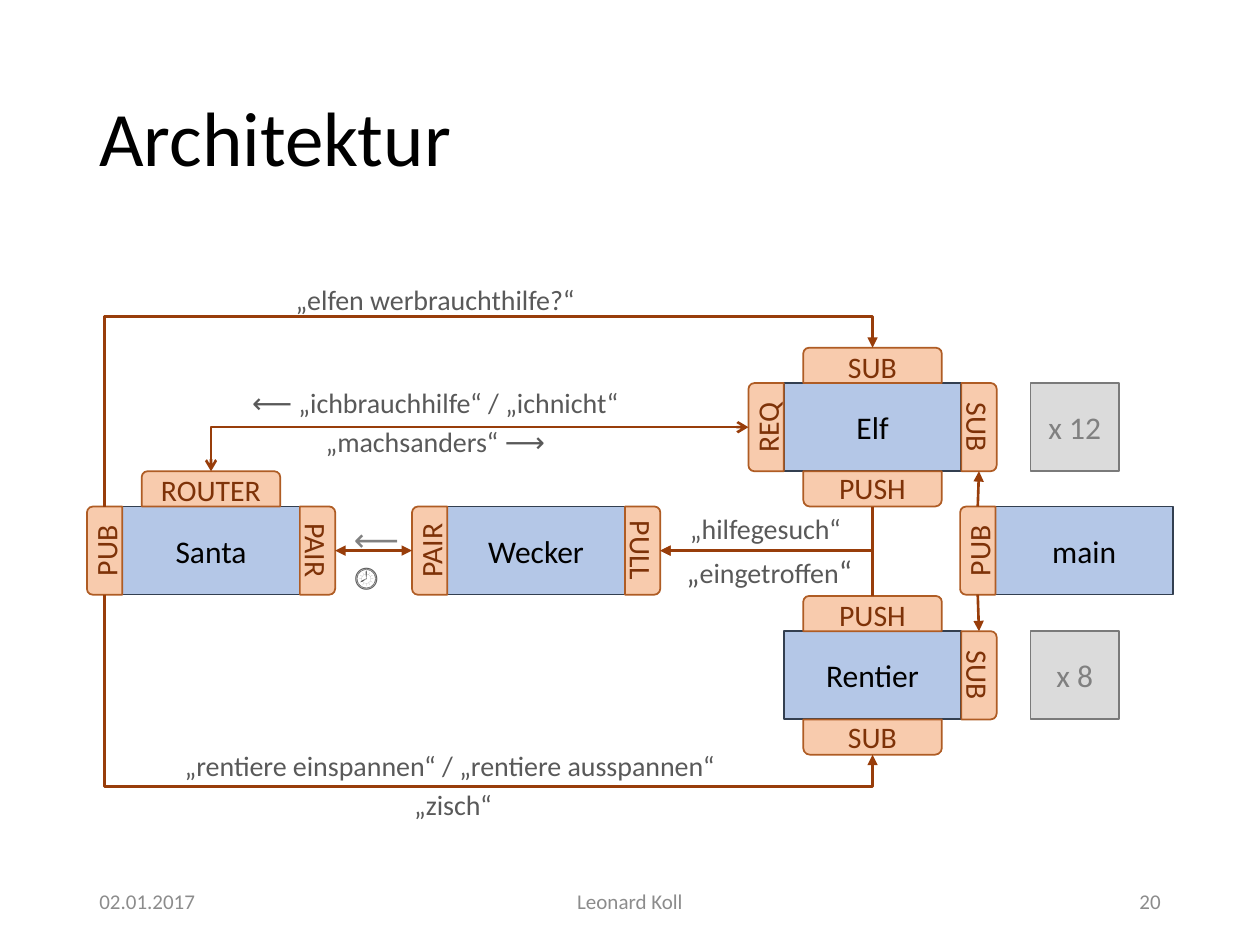
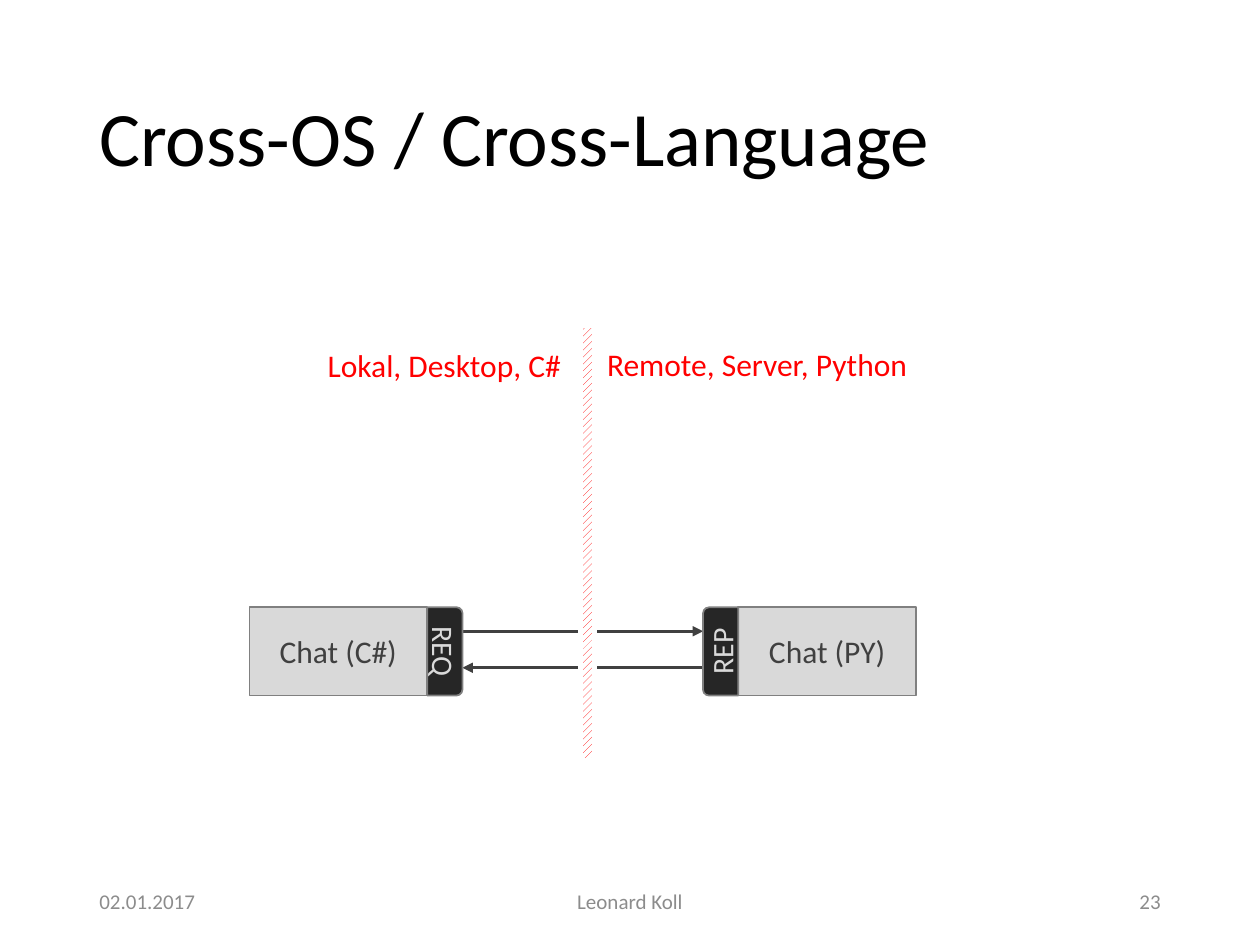
from lxml import etree
from pptx import Presentation
from pptx.dml.color import RGBColor
from pptx.enum.dml import MSO_PATTERN
from pptx.enum.shapes import MSO_CONNECTOR, MSO_SHAPE
from pptx.enum.text import MSO_ANCHOR, PP_ALIGN
from pptx.oxml.ns import qn
from pptx.util import Inches, Pt

LEFT, CENTER, RIGHT = PP_ALIGN.LEFT, PP_ALIGN.CENTER, PP_ALIGN.RIGHT
TOP, MIDDLE = MSO_ANCHOR.TOP, MSO_ANCHOR.MIDDLE
RECTANGLE, SOCKET = MSO_SHAPE.RECTANGLE, MSO_SHAPE.ROUND_2_SAME_RECTANGLE
STRAIGHT, ELBOW = MSO_CONNECTOR.STRAIGHT, MSO_CONNECTOR.ELBOW
DIAGONAL = MSO_PATTERN.WIDE_UPWARD_DIAGONAL

FONT = "Calibri"
COLORS = {
    "black": "000000", "white": "FFFFFF", "footer": "8C8C8C", "label": "595959",
    "node": "B4C7E7", "node line": "333F50",
    "count": "DBDBDB", "count line": "7A7A7A", "gray": "808080",
    "socket": "F8CBAD", "socket line": "AF5C24", "socket text": "7E3208",
    "wire": "983D0A", "chat": "D9D9D9", "chat dark": "262626",
    "chat text": "404040", "red": "FF0000",
}
# Styles: fill, line, text colour, text size
NODE_STYLE = ("node", "node line", "black", 18)
COUNT_STYLE = ("count", "count line", "gray", 18)
SOCKET_STYLE = ("socket", "socket line", "socket text", 17)
CHAT_STYLE = ("chat", "gray", "chat text", 18)
CHAT_SOCKET_STYLE = ("chat dark", "gray", "chat", 17)

# Sizes in inches
NODE_WIDTH, NODE_HEIGHT = 1.41, 0.7
SOCKET_DEPTH, SOCKET_WIDTH = 0.28, 1.1
DETOUR = 0.25  # how far a looping wire runs beyond its target

DATE, AUTHOR = "02.01.2017", "Leonard Koll"

# Architecture: name -> (left, top, sockets by side)
NODES = {
    "Santa": (0.97, 4.02, {"left": "PUB", "top": "ROUTER", "right": "PAIR"}),
    "Wecker": (3.55, 4.02, {"left": "PAIR", "right": "PULL"}),
    "Elf": (6.22, 3.04, {"left": "REQ", "top": "SUB", "right": "SUB", "bottom": "PUSH"}),
    "Rentier": (6.22, 5.01, {"top": "PUSH", "right": "SUB", "bottom": "SUB"}),
    "main": (7.9, 4.02, {"left": "PUB"}),
}
COUNTS = [("x 12", 8.18, 3.04), ("x 8", 8.18, 5.01)]

# Wires: (node, socket side, end of the socket), same for the target, arrowheads
STRAIGHT_WIRES = [
    (("Santa", "right", "tip"), ("Wecker", "left", "tip"), "triangle", "triangle"),
    (("main", "left", "upper"), ("Elf", "right", "lower"), None, "triangle"),
    (("main", "left", "lower"), ("Rentier", "right", "upper"), None, "triangle"),
]
CORNER_WIRES = [
    (("Elf", "bottom", "tip"), ("Wecker", "right", "tip"), None, "triangle"),
    (("Rentier", "top", "tip"), ("Wecker", "right", "tip"), None, "triangle"),
    (("Santa", "top", "tip"), ("Elf", "left", "tip"), "arrow", "arrow"),
]
LOOP_WIRES = [
    (("Santa", "left", "upper"), ("Elf", "top", "tip"), None, "triangle"),
    (("Santa", "left", "lower"), ("Rentier", "bottom", "tip"), None, "triangle"),
]

# Messages: place, space after, paragraphs of (text, size) runs
MESSAGES = [
    ((0.97, 5.89, 5.25, 0.68), 3,
     [[("„rentiere einspannen“ / „rentiere ausspannen“ ", 16)], [("„zisch“", 16)]]),
    ((1.67, 2.19, 3.57, 0.37), 6, [[("„elfen werbrauchthilfe?“", 16)]]),
    ((1.67, 3.01, 3.57, 0.68), 3,
     [[("⟵ „ichbrauchhilfe“ / „ichnicht“", 16)], [("„machsanders“ ⟶", 16)]]),
    ((5.27, 4.01, 1.61, 0.37), 6, [[("„hilfegesuch“", 16)]]),
    ((5.3, 4.33, 1.61, 0.4), 6, [[("„", 18), ("eingetroffen", 16), ("“", 18)]]),
]

# Chat across systems
CHAT_NODES = {
    "Chat (C#)": (1.98, 4.82, {"right": "REQ"}),
    "Chat (PY)": (5.86, 4.82, {"left": "REP"}),
}
REQUEST_Y, REPLY_Y = 5.01, 5.3
DIVIDER = (4.61, 2.58, 0.11, 3.46)
SIDE_LABELS = [
    ("Remote, Server, Python", (4.72, 2.69, 3.16, 0.4), LEFT),
    ("Lokal, Desktop, C#", (1.47, 2.7, 3.08, 0.4), RIGHT),
]


def rgb(name):
    return RGBColor.from_string(COLORS[name])


def inches(values):
    return [Inches(value) for value in values]


def add_run(paragraph, text, size, color):
    run = paragraph.add_run()
    run.text = text
    run.font.name = FONT
    run.font.size = Pt(size)
    run.font.color.rgb = rgb(color)


def add_text(slide, place, paragraphs, color, align=LEFT, anchor=TOP,
             space_after=0, line_spacing=None, wrap=True):
    """Paragraphs are lists of (text, size) runs."""
    frame = slide.shapes.add_textbox(*inches(place)).text_frame
    frame.word_wrap = wrap
    frame.vertical_anchor = anchor
    for index, runs in enumerate(paragraphs):
        paragraph = frame.add_paragraph() if index else frame.paragraphs[0]
        paragraph.alignment = align
        paragraph.space_after = Pt(space_after)
        paragraph.line_spacing = line_spacing
        for text, size in runs:
            add_run(paragraph, text, size, color)
    return frame


def add_box(slide, kind, place, text, style):
    fill, line, text_color, size = style
    shape = slide.shapes.add_shape(kind, *inches(place))
    shape.shadow.inherit = False
    shape.fill.solid()
    shape.fill.fore_color.rgb = rgb(fill)
    shape.line.color.rgb = rgb(line)
    shape.line.width = Pt(1)
    frame = shape.text_frame
    frame.word_wrap = True
    frame.vertical_anchor = MIDDLE
    frame.paragraphs[0].alignment = CENTER
    add_run(frame.paragraphs[0], text, size, text_color)
    return shape


def socket_center(node, side):
    left, top, _ = node
    offset_x = (NODE_WIDTH + SOCKET_DEPTH) / 2 * {"left": -1, "right": 1}.get(side, 0)
    offset_y = (NODE_HEIGHT + SOCKET_DEPTH) / 2 * {"top": -1, "bottom": 1}.get(side, 0)
    return left + NODE_WIDTH / 2 + offset_x, top + NODE_HEIGHT / 2 + offset_y


def socket_point(node, side, end):
    """Middle of a socket's outer edge, or of its upper or lower end."""
    x, y = socket_center(node, side)
    if end != "tip":
        return x, y + NODE_HEIGHT / 2 * (-1 if end == "upper" else 1)
    half = SOCKET_DEPTH / 2
    return {"left": (x - half, y), "right": (x + half, y),
            "top": (x, y - half), "bottom": (x, y + half)}[side]


def add_nodes(slide, nodes, node_style, socket_style):
    for name, (left, top, _) in nodes.items():
        add_box(slide, RECTANGLE, (left, top, NODE_WIDTH, NODE_HEIGHT), name, node_style)
    for node in nodes.values():
        for side, text in node[2].items():
            x, y = socket_center(node, side)
            width = NODE_HEIGHT if side in ("left", "right") else SOCKET_WIDTH
            place = (x - width / 2, y - SOCKET_DEPTH / 2, width, SOCKET_DEPTH)
            socket = add_box(slide, SOCKET, place, text, socket_style)
            socket.rotation = {"left": 270, "right": 90}.get(side, 0)
            if side == "bottom":
                socket.adjustments[0], socket.adjustments[1] = 0, 0.19


def add_wire(slide, kind, start, end, head, tail, color="wire", width=1.5):
    wire = slide.shapes.add_connector(kind, *inches(start + end))
    wire.line.color.rgb = rgb(color)
    wire.line.width = Pt(width)
    properties = wire._element.spPr
    for tag, arrow in (("a:headEnd", head), ("a:tailEnd", tail)):
        if arrow:
            etree.SubElement(properties.find(qn("a:ln")), qn(tag), type=arrow)
    etree.SubElement(properties, qn("a:effectLst"))
    return wire


def add_bent_wire(slide, start, end, head, tail, loop):
    """Elbow that leaves vertically: a quarter-turned connector box."""
    run_x, run_y = end[0] - start[0], end[1] - start[1]
    center_x, center_y = (start[0] + end[0]) / 2, (start[1] + end[1]) / 2
    half_width, half_height = abs(run_y) / 2, abs(run_x) / 2
    wire = add_wire(slide, ELBOW, (center_x - half_width, center_y - half_height),
                    (center_x + half_width, center_y + half_height), head, tail)
    properties = wire._element.spPr
    transform = properties.find(qn("a:xfrm"))
    transform.set("rot", str((90 if run_y > 0 else 270) * 60000))
    if (run_x > 0) == (run_y > 0):
        transform.set("flipV", "1")
    geometry = properties.find(qn("a:prstGeom"))
    if loop:
        reach = round((1 + DETOUR / abs(run_y)) * 100000)
        etree.SubElement(geometry.find(qn("a:avLst")), qn("a:gd"),
                         name="adj1", fmla=f"val {reach}")
    else:
        geometry.set("prst", "bentConnector2")


def add_base_slide(presentation, title, number):
    slide = presentation.slides.add_slide(presentation.slide_layouts[6])
    add_text(slide, (0.69, 0.4, 7.07, 1.45), [[(title, 44)]], "black",
             anchor=MIDDLE, line_spacing=0.9)
    for text, left, width, align in ((DATE, 0.69, 2.25, LEFT),
                                     (AUTHOR, 3.31, 3.38, CENTER),
                                     (number, 7.06, 2.25, RIGHT)):
        add_text(slide, (left, 6.95, width, 0.4), [[(text, 12)]], "footer", align, MIDDLE)
    return slide


def build_architecture(presentation):
    slide = add_base_slide(presentation, "Architektur", "20")
    add_nodes(slide, NODES, NODE_STYLE, SOCKET_STYLE)
    for text, left, top in COUNTS:
        add_box(slide, RECTANGLE, (left, top, NODE_HEIGHT, NODE_HEIGHT), text, COUNT_STYLE)

    # Wires between the sockets
    def point(name, side, end):
        return socket_point(NODES[name], side, end)

    for source, target, head, tail in STRAIGHT_WIRES:
        add_wire(slide, STRAIGHT, point(*source), point(*target), head, tail)
    for wires, loop in ((CORNER_WIRES, False), (LOOP_WIRES, True)):
        for source, target, head, tail in wires:
            add_bent_wire(slide, point(*source), point(*target), head, tail, loop)

    # Messages on the wires
    for place, space_after, paragraphs in MESSAGES:
        add_text(slide, place, paragraphs, "label", CENTER, space_after=space_after)
    alarm = add_text(slide, (2.71, 4.08, 0.56, 0.71), [[("⟵", 18)]], "gray", wrap=False)
    add_run(alarm.add_paragraph(), "⌚", 18, "label")


def build_chat(presentation):
    slide = add_base_slide(presentation, "Cross-OS / Cross-Language", "23")
    local_x = socket_point(CHAT_NODES["Chat (C#)"], "right", "tip")[0]
    remote_x = socket_point(CHAT_NODES["Chat (PY)"], "left", "tip")[0]
    for from_x, to_x, y in ((remote_x, local_x, REPLY_Y), (local_x, remote_x, REQUEST_Y)):
        add_wire(slide, STRAIGHT, (from_x, y), (to_x, y), None, "triangle", "chat text", 1.75)
    add_nodes(slide, CHAT_NODES, CHAT_STYLE, CHAT_SOCKET_STYLE)

    # Hatched border between the two systems
    divider = slide.shapes.add_shape(RECTANGLE, *inches(DIVIDER))
    divider.shadow.inherit = False
    divider.fill.patterned()
    divider.fill.pattern = DIAGONAL
    divider.fill.fore_color.rgb = rgb("red")
    divider.fill.back_color.rgb = rgb("white")
    divider.line.color.rgb = rgb("white")
    divider.line.width = Pt(3)
    for text, place, align in SIDE_LABELS:
        add_text(slide, place, [[(text, 18)]], "red", align)


def main():
    presentation = Presentation()
    presentation.slide_width, presentation.slide_height = Inches(10), Inches(7.5)
    build_architecture(presentation)
    build_chat(presentation)
    presentation.save("out.pptx")


if __name__ == "__main__":
    main()
